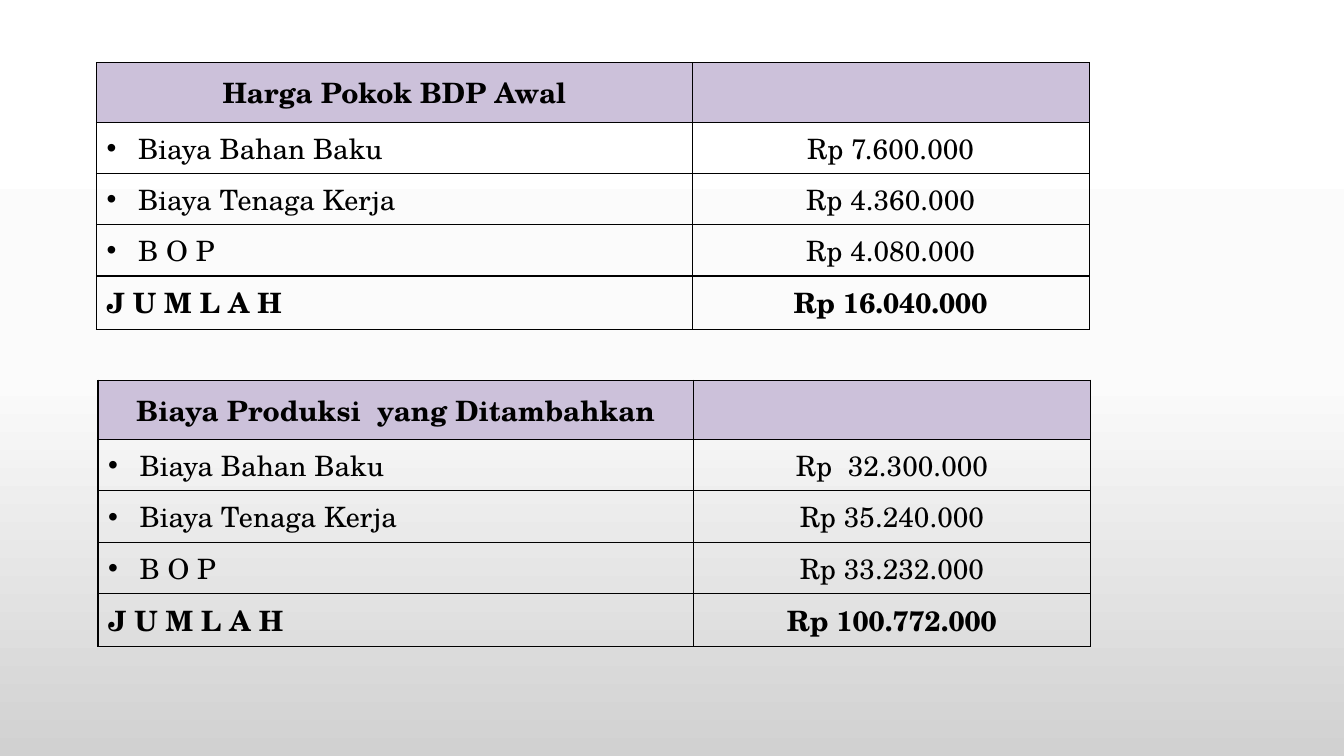
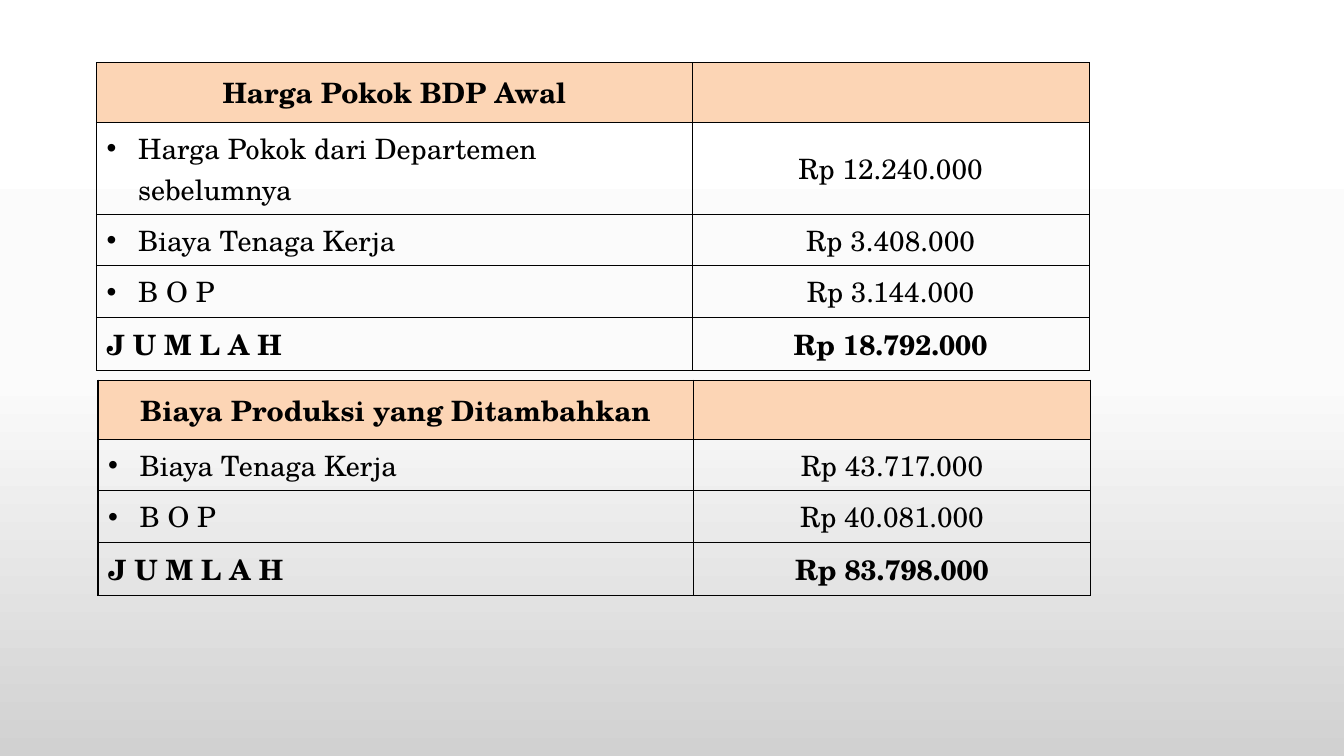
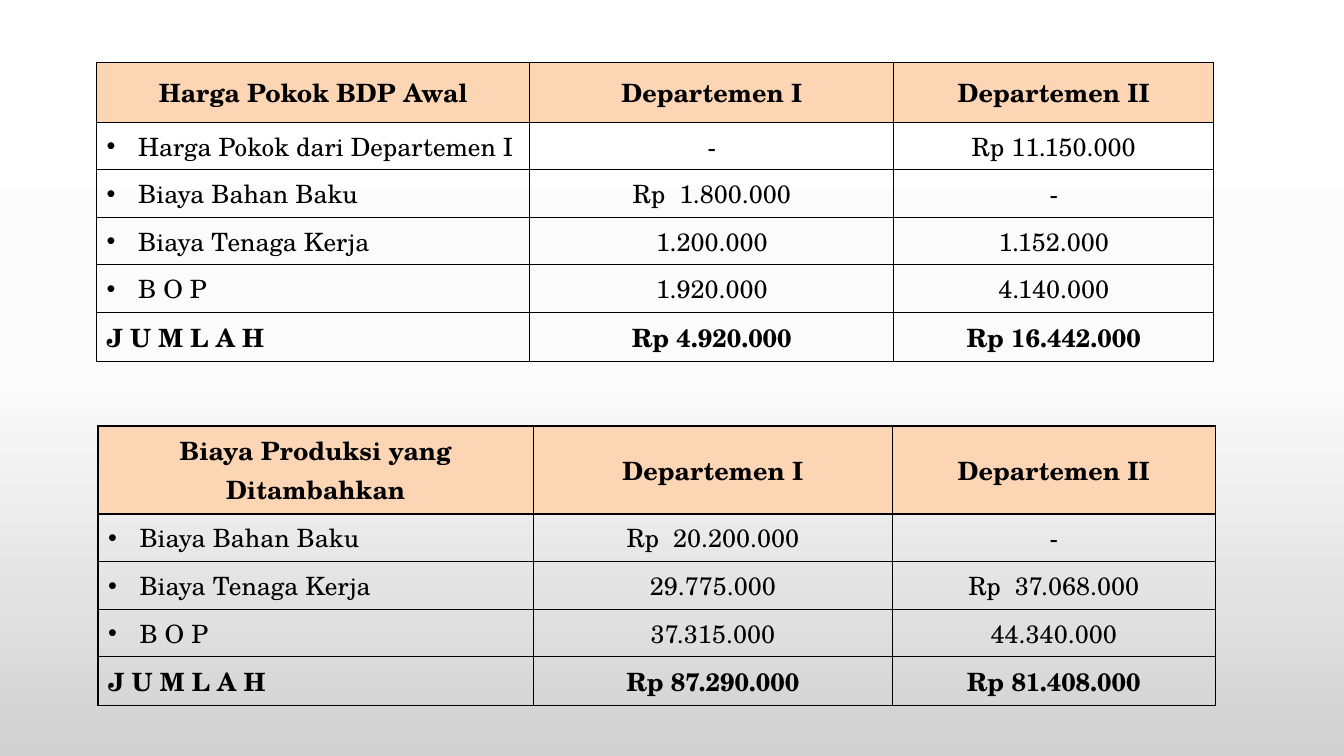
from copy import deepcopy
from pptx import Presentation
from pptx.dml import color
from pptx.enum import text
from pptx.oxml import ns, xmlchemy
from pptx.util import Pt

FONT = "TeX Gyre Schola"
HUES = {"ink": "000000", "lilac": "CCC1DA", "peach": "FCD5B5",
        "top": "FFFFFF", "mid": "FBFBFB", "end": "D1D1D1"}
SHADE = [(0, "top"), (0.5, "mid"), (1, "end")]
HEAD = 42.5
WIDE = (425.4, 283.6)
DEPTS = ("Departemen I", "Departemen II")

SLIDES = [
    {"hue": "lilac", "size": 20, "row": 35, "tables": [
        {"at": (69, 44.75), "cols": WIDE, "rows": [
            ("Harga Pokok BDP Awal", ""),
            ("Biaya Bahan Baku", "Rp 7.600.000"),
            ("Biaya Tenaga Kerja", "Rp 4.360.000"),
            ("B O P", "Rp 4.080.000"),
            ("J U M L A H", "Rp 16.040.000")]},
        {"at": (70, 271.5), "cols": WIDE, "rows": [
            ("Biaya Produksi  yang Ditambahkan", ""),
            ("Biaya Bahan Baku", "Rp  32.300.000"),
            ("Biaya Tenaga Kerja", "Rp 35.240.000"),
            ("B O P", "Rp 33.232.000"),
            ("J U M L A H", "Rp 100.772.000")]}]},
    {"hue": "peach", "size": 20, "row": 35, "tables": [
        {"at": (69, 44.75), "cols": WIDE, "rows": [
            ("Harga Pokok BDP Awal", ""),
            ("Harga Pokok dari Departemen sebelumnya", "Rp 12.240.000"),
            ("Biaya Tenaga Kerja", "Rp 3.408.000"),
            ("B O P", "Rp 3.144.000"),
            ("J U M L A H", "Rp 18.792.000")]},
        {"at": (70, 271.5), "cols": WIDE, "rows": [
            ("Biaya Produksi yang Ditambahkan", ""),
            ("Biaya Tenaga Kerja", "Rp 43.717.000"),
            ("B O P", "Rp 40.081.000"),
            ("J U M L A H", "Rp 83.798.000")]}]},
    {"hue": "peach", "size": 18, "row": 34, "tables": [
        {"at": (69, 44.75), "cols": (309.5, 260, 228.5), "rows": [
            ("Harga Pokok BDP Awal", *DEPTS),
            ("Harga Pokok dari Departemen I", "-", "Rp 11.150.000"),
            ("Biaya Bahan Baku", "Rp  1.800.000", "-"),
            ("Biaya Tenaga Kerja", "1.200.000", "1.152.000"),
            ("B O P", "1.920.000", "4.140.000"),
            ("J U M L A H", "Rp 4.920.000", "Rp 16.442.000")]},
        {"at": (70, 304.25), "cols": (311, 256.5, 230.5), "rows": [
            ("Biaya Produksi yang Ditambahkan", *DEPTS),
            ("Biaya Bahan Baku", "Rp  20.200.000", "-"),
            ("Biaya Tenaga Kerja", "29.775.000", "Rp  37.068.000"),
            ("B O P", "37.315.000", "44.340.000"),
            ("J U M L A H", "Rp 87.290.000", "Rp 81.408.000")]}]},
]


def rgb(name):
    return color.RGBColor.from_string(HUES[name])


def add(node, tag, **attrs):
    kid = xmlchemy.OxmlElement(tag)
    for key, val in attrs.items():
        kid.set(key, str(val))
    node.append(kid)
    return kid


def shade(master):
    fill = master.background.fill
    fill.gradient()
    fill.gradient_angle = 270
    stops = master.element.find(".//" + ns.qn("a:gsLst"))
    stops.append(deepcopy(stops[0]))
    for stop, (pos, name) in zip(fill.gradient_stops, SHADE):
        stop.position = pos
        stop.color.rgb = rgb(name)


def border(cell):
    props = cell._tc.get_or_add_tcPr()
    for i, side in enumerate("LRTB"):
        line = add(props, "a:ln" + side, w=Pt(1))
        add(add(line, "a:solidFill"), "a:srgbClr", val=HUES["ink"])
        props.insert(i, line)


def bullet(para):
    props = para._p.get_or_add_pPr()
    props.set("marL", str(Pt(22.5)))
    props.set("indent", str(-Pt(22.5)))
    add(props, "a:buFont", typeface="Arial")
    add(props, "a:buChar", char="•")


def style(cell, words, size, head, total, first, hue):
    cell.vertical_anchor = text.MSO_ANCHOR.MIDDLE
    if head:
        cell.fill.solid()
        cell.fill.fore_color.rgb = rgb(hue)
    else:
        cell.fill.background()
    border(cell)
    para = cell.text_frame.paragraphs[0]
    para.text = words
    if head or not first:
        para.alignment = text.PP_ALIGN.CENTER
    elif not total:
        bullet(para)
    for run in para.runs:
        run.font.name = FONT
        run.font.size = Pt(size)
        run.font.bold = head or total
        run.font.color.rgb = rgb("ink")


def draw(slide, item, page):
    rows, cols = item["rows"], item["cols"]
    tall = HEAD + page["row"] * (len(rows) - 1)
    left, top = item["at"]
    grid = slide.shapes.add_table(len(rows), len(cols), Pt(left), Pt(top),
                                  Pt(sum(cols)), Pt(tall)).table
    grid.first_row = grid.horz_banding = False
    for col, width in zip(grid.columns, cols):
        col.width = Pt(width)
    for r, row in enumerate(rows):
        grid.rows[r].height = Pt(page["row"] if r else HEAD)
        for c, words in enumerate(row):
            style(grid.cell(r, c), words, page["size"], r == 0,
                  r == len(rows) - 1, c == 0, page["hue"])


def main():
    deck = Presentation()
    deck.slide_width, deck.slide_height = Pt(960), Pt(540)
    shade(deck.slide_master)
    for page in SLIDES:
        slide = deck.slides.add_slide(deck.slide_layouts[6])
        for item in page["tables"]:
            draw(slide, item, page)
    deck.save("out.pptx")


if __name__ == "__main__":
    main()
